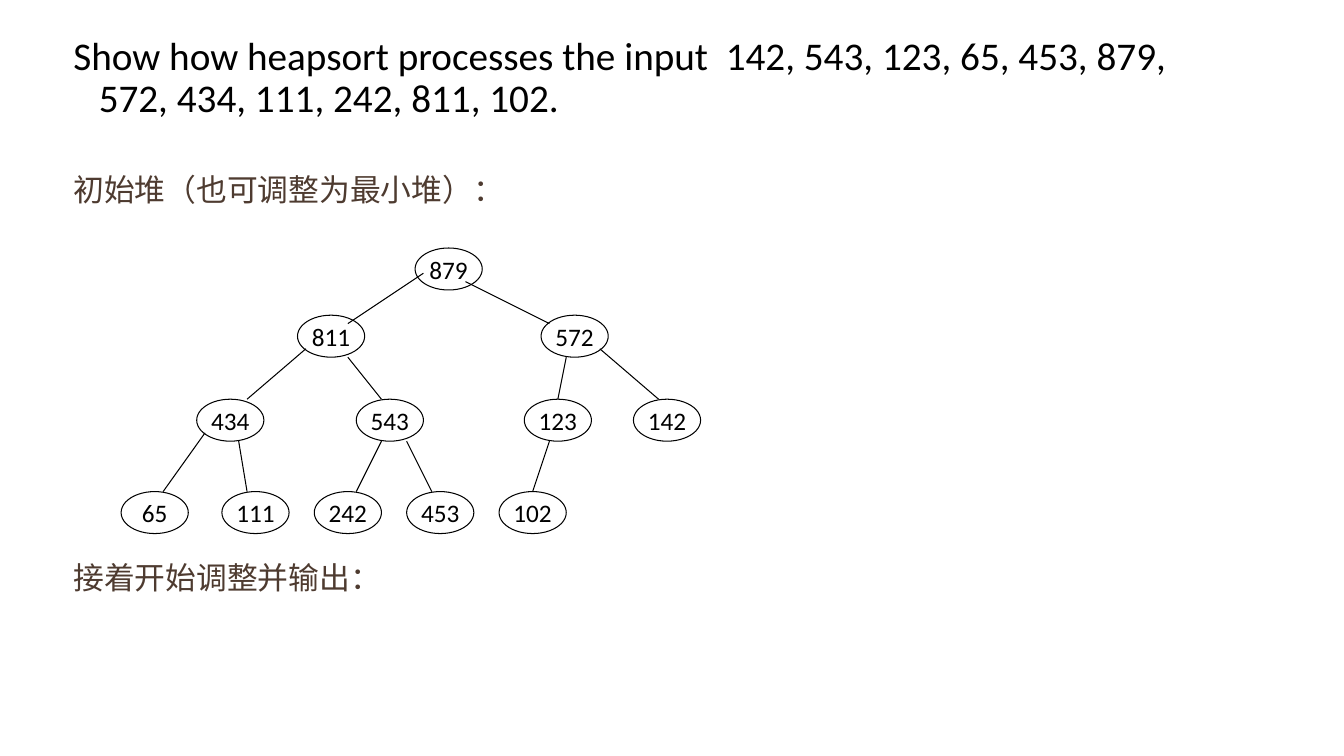
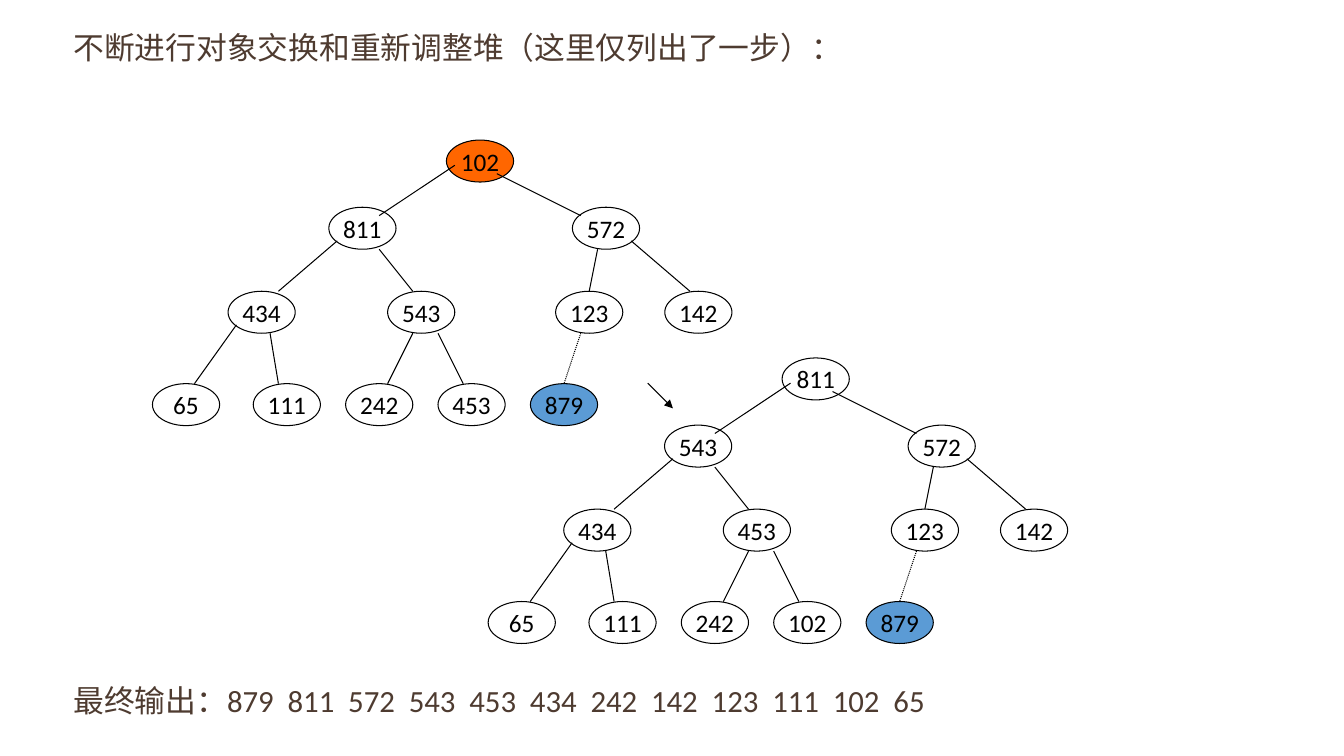
"""Build two slides that show how heapsort orders a list of numbers."""
from dataclasses import dataclass, field

from lxml.etree import SubElement as Sub
from pptx import Presentation as Deck
from pptx.dml.color import RGBColor as Rgb
from pptx.enum.dml import MSO_LINE as Dash
from pptx.enum.shapes import MSO_CONNECTOR as Link, MSO_SHAPE as Form
from pptx.enum.text import MSO_ANCHOR as Anchor, PP_ALIGN as Align
from pptx.oxml.ns import qn
from pptx.slide import Slide
from pptx.util import Cm, Length, Pt

INK = {"black": "000000", "brown": "4E3B30", "white": "FFFFFF",
       "orange": "FF6600", "blue": "5B9BD5"}
FONT = "Calibri"
UNIT = 2.54 / 12
NODE = (8, 5)

SPOTS = ((0, 0), (-14, 8), (15, 8), (-26, 18), (-7, 18), (13, 18), (26, 18),
         (-35, 29), (-23, 29), (-12, 29), (-1, 29), (10, 29))
EDGES = ((1, 3, -8, 9), (6, 4, 16, 9), (-13, 12, -20, 18), (-8, 13, -4, 18),
         (18, 13, 17, 18), (22, 12, 29, 18), (-25, 22, -30, 29),
         (-21, 23, -20, 29), (-4, 23, -7, 29), (-1, 23, 2, 29),
         (16, 23, 14, 29))
ARROW = (-16, 3, -13, 6)


@dataclass
class Para:
    text: str
    size: float = 22
    ink: str = "brown"
    gap: float = 0
    pitch: float = 1.0
    hang: float = 0.64


@dataclass
class Heap:
    left: float
    top: float
    keys: tuple[int, ...]
    fills: dict[int, str] = field(default_factory=dict)
    cut: bool = False

    def spot(self, col: float, row: float) -> tuple[Length, Length]:
        return Cm(self.left + col * UNIT), Cm(self.top + row * UNIT)


@dataclass
class Page:
    tall: float
    paras: tuple[Para, ...]
    heaps: tuple[Heap, ...]
    arrow: bool = False


def paint(name: str) -> Rgb:
    return Rgb.from_string(INK[name])


def add_run(para, text: str, size: float, ink: str) -> None:
    run = para.add_run()
    run.text = text
    run.font.name = FONT
    run.font.size = Pt(size)
    run.font.color.rgb = paint(ink)


def add_body(slide: Slide, tall: float, paras: tuple[Para, ...]) -> None:
    box = slide.shapes.add_textbox(Cm(1.6), Cm(0.79), Cm(29.95), Cm(tall))
    frame = box.text_frame
    frame.word_wrap = True
    for rank, item in enumerate(paras):
        para = frame.add_paragraph() if rank else frame.paragraphs[0]
        para.space_before = Pt(item.gap)
        para.line_spacing = item.pitch
        props = para._p.get_or_add_pPr()
        props.set("marL", str(Cm(item.hang)))
        props.set("indent", str(-Cm(item.hang)))
        add_run(para, item.text, item.size, item.ink)


def add_node(slide: Slide, heap: Heap, rank: int) -> None:
    wide, high = (Cm(side * UNIT) for side in NODE)
    node = slide.shapes.add_shape(Form.OVAL, *heap.spot(*SPOTS[rank]), wide, high)
    node.shadow.inherit = False
    node.fill.solid()
    node.fill.fore_color.rgb = paint(heap.fills.get(rank, "white"))
    node.line.color.rgb = paint("black")
    node.line.width = Pt(0.75)
    frame = node.text_frame
    frame.word_wrap = False
    frame.vertical_anchor = Anchor.MIDDLE
    para = frame.paragraphs[0]
    para.alignment = Align.CENTER
    add_run(para, str(heap.keys[rank]), 18, "black")


def add_edge(slide: Slide, heap: Heap, edge: tuple[int, ...],
             dots: bool = False, head: bool = False) -> None:
    link = slide.shapes.add_connector(
        Link.STRAIGHT, *heap.spot(*edge[:2]), *heap.spot(*edge[2:]))
    link.line.color.rgb = paint("black")
    link.line.width = Pt(0.75)
    if dots:
        link.line.dash_style = Dash.ROUND_DOT
    if head:
        Sub(link.line._get_or_add_ln(), qn("a:tailEnd"), type="triangle")
    Sub(link._element.spPr, qn("a:effectLst"))


def add_heap(slide: Slide, heap: Heap) -> None:
    for rank in range(len(heap.keys)):
        add_node(slide, heap, rank)
    for edge in EDGES:
        add_edge(slide, heap, edge, dots=heap.cut and edge == EDGES[-1])


def add_page(deck, page: Page) -> None:
    slide = deck.slides.add_slide(deck.slide_layouts[6])
    add_body(slide, page.tall, page.paras)
    for heap in page.heaps:
        add_heap(slide, heap)
    if page.arrow:
        add_edge(slide, page.heaps[-1], ARROW, head=True)


PAGES = (
    Page(16.36, (
        Para("Show how heapsort processes the input  142, 543, 123, 65, 453, "
             "879, 572, 434, 111, 242, 811, 102.", 28, "black", pitch=0.9),
        Para("初始堆（也可调整为最小堆）：", gap=35.5, hang=0.95),
        Para("接着开始调整并输出：", gap=250.5, hang=0.95),
    ), (
        Heap(10.46, 6.25,
             (879, 811, 572, 434, 543, 123, 142, 65, 111, 242, 453, 102)),
    )),
    Page(18.26, (
        Para("不断进行对象交换和重新调整堆（这里仅列出了一步）：", pitch=0.8),
        Para("最终输出：879  811  572  543  453  434  242  142  123  111  102  65",
             gap=445, pitch=0.8),
    ), (
        Heap(11.25, 3.53,
             (102, 811, 572, 434, 543, 123, 142, 65, 111, 242, 453, 879),
             {0: "orange", 11: "blue"}, cut=True),
        Heap(19.71, 9.02,
             (811, 543, 572, 434, 453, 123, 142, 65, 111, 242, 102, 879),
             {11: "blue"}, cut=True),
    ), arrow=True),
)

deck = Deck()
deck.slide_width, deck.slide_height = Cm(33.87), Cm(19.05)
for page in PAGES:
    add_page(deck, page)
deck.save("out.pptx")
